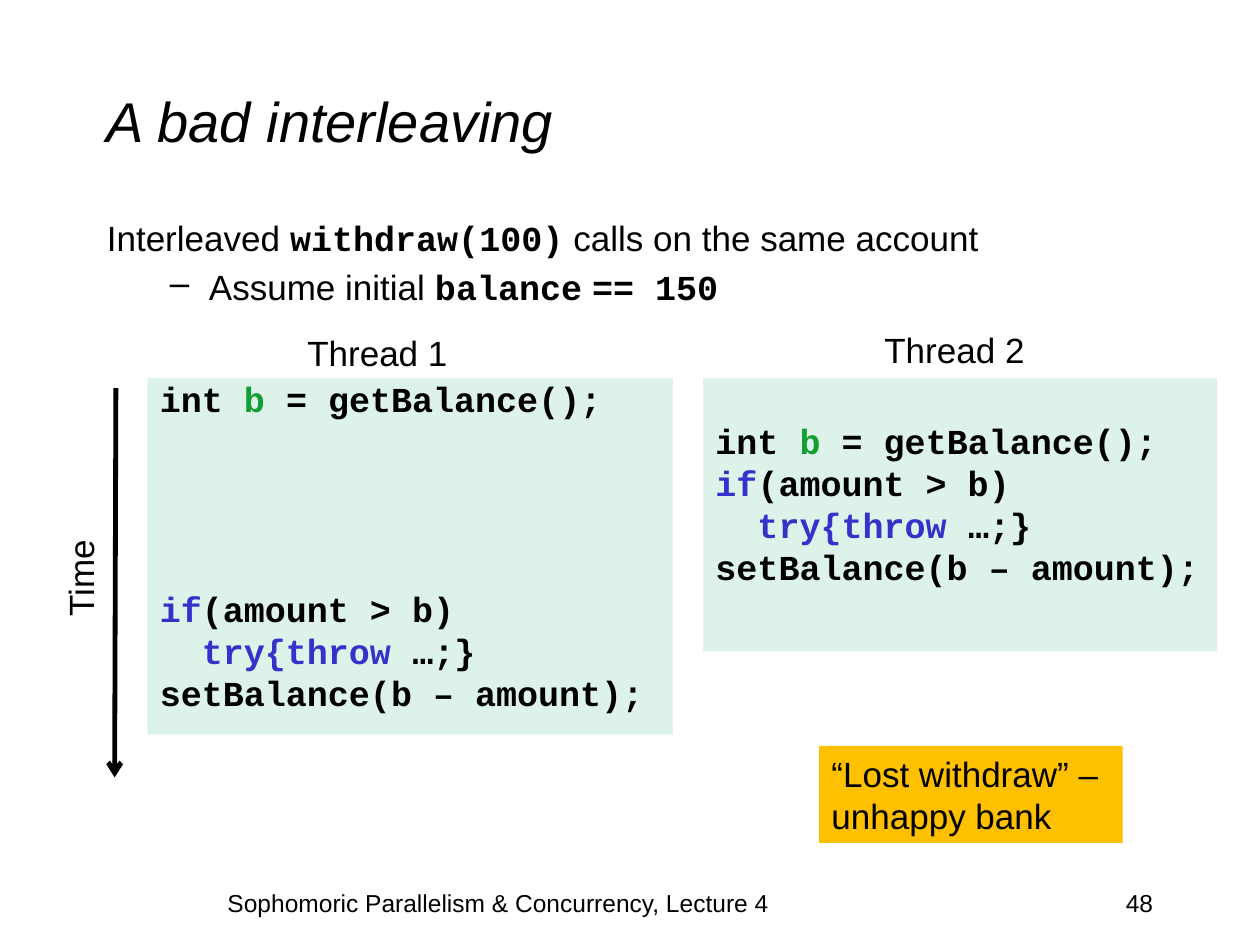
from lxml.etree import SubElement
from pptx import Presentation
from pptx.dml.color import RGBColor
from pptx.enum.shapes import MSO_CONNECTOR, MSO_SHAPE
from pptx.enum.text import MSO_ANCHOR, MSO_AUTO_SIZE, PP_ALIGN
from pptx.oxml.ns import qn
from pptx.util import Inches, Pt

BLACK = RGBColor(0x00, 0x00, 0x00)
GREEN = RGBColor(0x11, 0x9F, 0x33)
BLUE = RGBColor(0x33, 0x33, 0xCC)
MINT = RGBColor(0xDD, 0xF3, 0xEA)
AMBER = RGBColor(0xFF, 0xC0, 0x00)
BODY_FONT, CODE_FONT = "Arial", "Courier New"
LINE, GAP = 20, 4  # code line height and space before it, in points

# Spans are (text, font, colour)
INTRO = [("Interleaved ", BODY_FONT, BLACK), ("withdraw(100)", CODE_FONT, BLACK),
         (" calls on the same account", BODY_FONT, BLACK)]
ASSUMPTION = [("Assume initial ", BODY_FONT, BLACK), ("balance", CODE_FONT, BLACK),
              (" ", BODY_FONT, BLACK), ("== 150", CODE_FONT, BLACK)]
WITHDRAW = [
    [("int ", CODE_FONT, BLACK), ("b", CODE_FONT, GREEN), (" = getBalance();", CODE_FONT, BLACK)],
    [("if", CODE_FONT, BLUE), ("(amount > b)", CODE_FONT, BLACK)],
    [("  try{throw ", CODE_FONT, BLUE), ("…;}", CODE_FONT, BLACK)],
    [("setBalance(b – amount);", CODE_FONT, BLACK)],
]
# Code panels: area, and time steps skipped before a given line
PANELS = [
    ((1.17, 3, 4.17, 2.83), {1: 4}),
    ((5.58, 3, 4.08, 2.17), {0: 1}),
]
# Labels: text, area, rotation
LABELS = [
    ("Thread 1", (2.34, 2.58, 1.32, 0.44), 0),
    ("Thread 2", (6.92, 2.56, 1.32, 0.44), 0),
    ("Time", (0.23, 4.36, 0.82, 0.44), 270),
]
# Footers: text, area, alignment
FOOTERS = [
    ("48", (7.17, 7, 2.08, 0.5), PP_ALIGN.RIGHT),
    ("Sophomoric Parallelism & Concurrency, Lecture 4", (0.83, 7, 6.25, 0.5), PP_ALIGN.CENTER),
]


def add_spans(para, spans, size=20):
    for text, font, colour in spans:
        span = para.add_run()
        span.text = text
        span.font.name = font
        span.font.size = Pt(size)
        span.font.bold = font == CODE_FONT
        span.font.color.rgb = colour


def set_indent(para, margin, first):
    props = para._p.get_or_add_pPr()
    props.set("marL", str(Inches(margin)))
    props.set("indent", str(Inches(first)))
    return props


def add_text(page, text, area, size=20, wrap=True):
    box = page.shapes.add_textbox(*map(Inches, area))
    box.text_frame.word_wrap = wrap
    add_spans(box.text_frame.paragraphs[0], [(text, BODY_FONT, BLACK)], size)
    return box


def add_panel(page, area, fill):
    panel = page.shapes.add_shape(MSO_SHAPE.RECTANGLE, *map(Inches, area))
    panel.shadow.inherit = False
    panel.fill.solid()
    panel.fill.fore_color.rgb = fill
    panel.line.fill.background()
    panel.text_frame.vertical_anchor = MSO_ANCHOR.TOP
    return panel.text_frame


def add_lines(frame, lines):
    """Yield each new left-aligned paragraph."""
    for index, spans in enumerate(lines):
        para = frame.add_paragraph() if index else frame.paragraphs[0]
        para.alignment = PP_ALIGN.LEFT
        add_spans(para, spans)
        yield index, para


def add_code(page, area, skipped):
    frame = add_panel(page, area, MINT)
    frame.word_wrap = True
    frame.margin_top = Inches(0.05) + Pt((LINE + GAP) * skipped.get(0, 0))
    for index, para in add_lines(frame, WITHDRAW):
        set_indent(para, 0.38, -0.38)
        para.line_spacing = Pt(LINE)
        if index:
            para.space_before = Pt(GAP + (LINE + GAP) * skipped.get(index, 0))


def add_time_arrow(page):
    arrow = page.shapes.add_connector(
        MSO_CONNECTOR.STRAIGHT, Inches(0.92), Inches(3.08), Inches(0.91), Inches(6.17))
    arrow.line.color.rgb = BLACK
    arrow.line.width = Pt(2.75)
    SubElement(arrow.line._get_or_add_ln(), qn("a:tailEnd"), type="arrow")
    SubElement(arrow._element.spPr, qn("a:effectLst"))


def main():
    deck = Presentation()
    deck.slide_width, deck.slide_height = Inches(10), Inches(7.5)
    page = deck.slides.add_slide(deck.slide_layouts[6])

    title = add_text(page, "A bad interleaving", (0.75, 0.33, 8.5, 1.25), 32)
    title.text_frame.vertical_anchor = MSO_ANCHOR.MIDDLE
    title.text_frame.paragraphs[0].runs[0].font.italic = True

    body = page.shapes.add_textbox(*map(Inches, (0.75, 1.67, 8.5, 0.92))).text_frame
    body.word_wrap = True
    for index, para in add_lines(body, [INTRO, ASSUMPTION]):
        if index:
            props = set_indent(para, 0.81, -0.31)
            SubElement(props, qn("a:buChar"), char="–")
            para.level = 1
            para.space_before = Pt(GAP)
        else:
            set_indent(para, 0.38, -0.38)

    for text, area, alignment in FOOTERS:
        add_text(page, text, area, 14).text_frame.paragraphs[0].alignment = alignment
    for area, skipped in PANELS:
        add_code(page, area, skipped)
    for text, area, rotation in LABELS:
        label = add_text(page, text, area, wrap=False)
        label.text_frame.auto_size = MSO_AUTO_SIZE.SHAPE_TO_FIT_TEXT
        label.rotation = rotation
    add_time_arrow(page)

    verdict = add_panel(page, (6.5, 5.92, 2.41, 0.77), AMBER)
    verdict.word_wrap = False
    verdict.auto_size = MSO_AUTO_SIZE.SHAPE_TO_FIT_TEXT
    verdict_lines = ["“Lost withdraw” –", "unhappy bank"]
    list(add_lines(verdict, [[(text, BODY_FONT, BLACK)] for text in verdict_lines]))

    deck.save("out.pptx")


if __name__ == "__main__":
    main()
